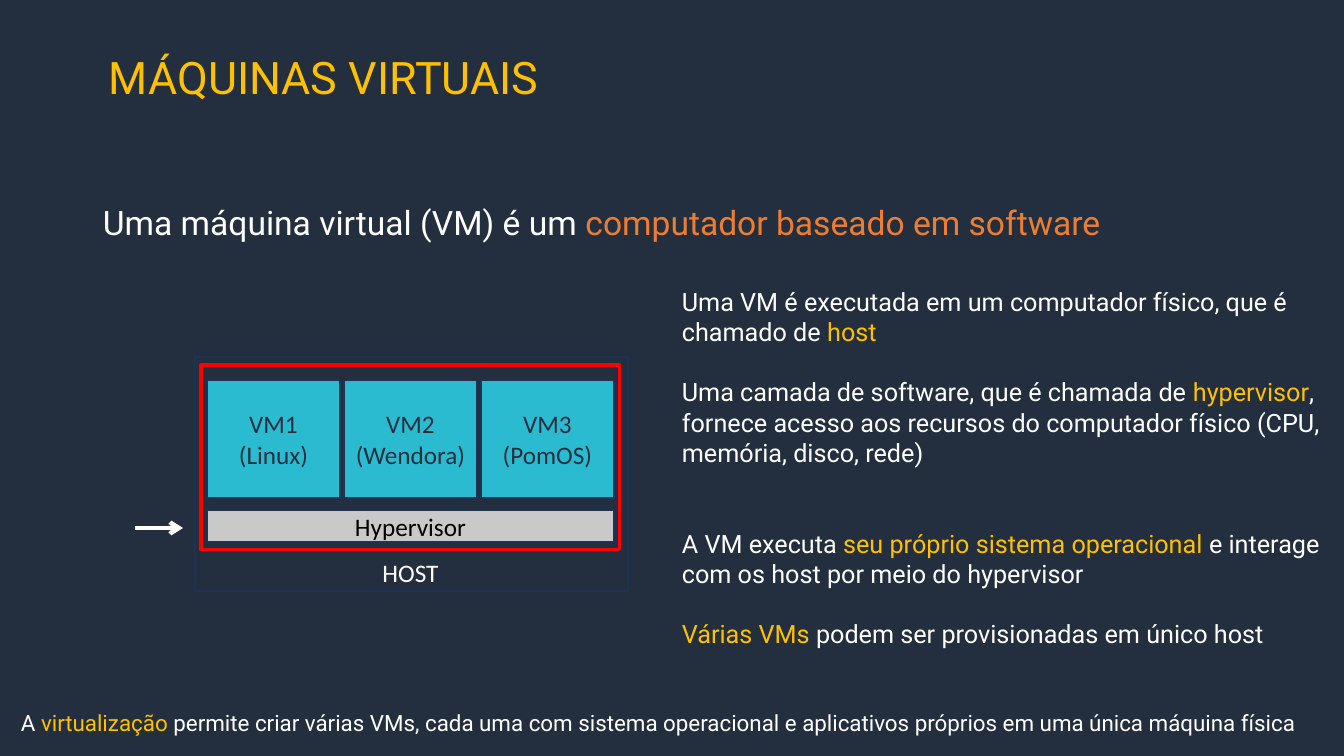
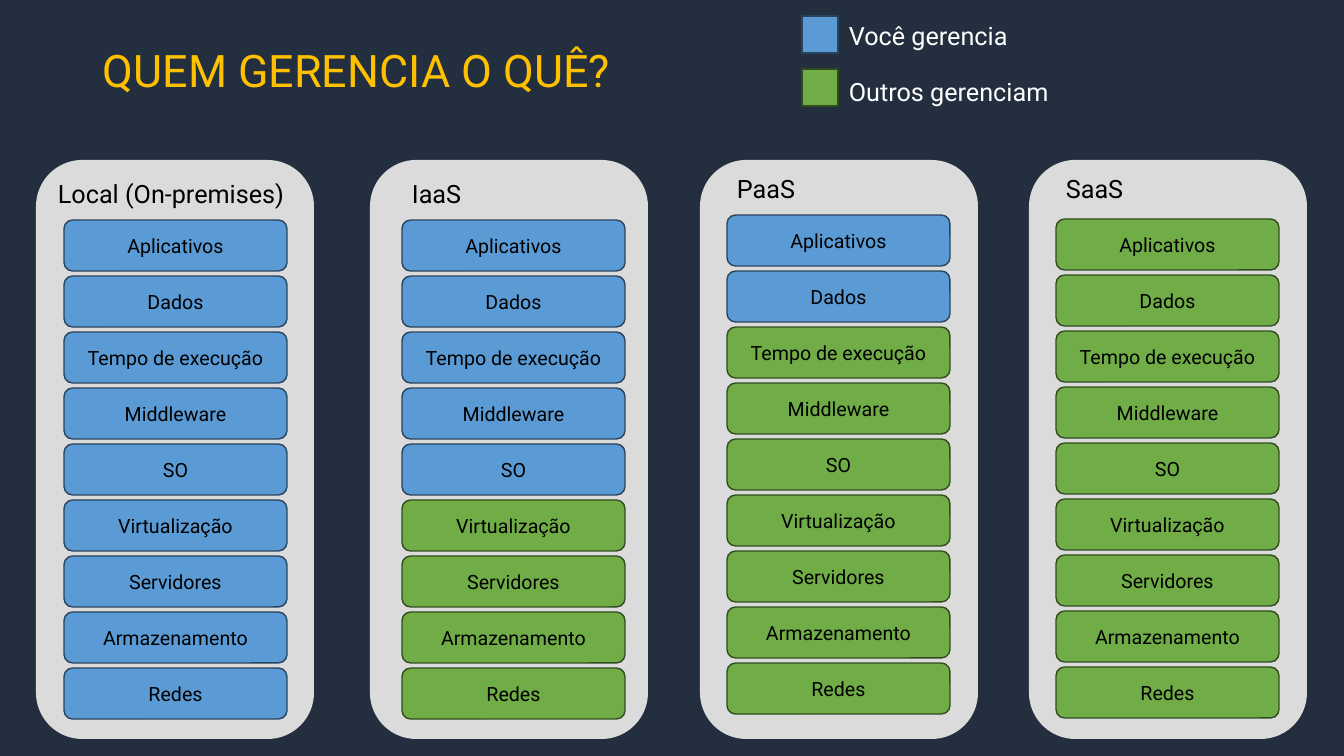
from lxml import etree
from pptx import Presentation
from pptx.dml.color import RGBColor
from pptx.enum.shapes import MSO_CONNECTOR, MSO_SHAPE as SHAPE
from pptx.enum.text import MSO_ANCHOR as ANCHOR, PP_ALIGN as ALIGN
from pptx.oxml.ns import qn
from pptx.util import Emu, Pt

SLIDE_W, SLIDE_H = 1344, 756
EMU_PER_PX = 12192000 / SLIDE_W

NAVY = RGBColor(0x23, 0x2F, 0x3E)
WHITE = RGBColor(0xFF, 0xFF, 0xFF)
BLACK = RGBColor(0x00, 0x00, 0x00)
GOLD = RGBColor(0xFF, 0xC0, 0x00)
ORANGE = RGBColor(0xED, 0x7D, 0x31)
CYAN = RGBColor(0x2B, 0xBB, 0xD1)
SILVER = RGBColor(0xC9, 0xC9, 0xC9)
PANEL = RGBColor(0xDB, 0xDB, 0xDB)
EDGE = RGBColor(0x1E, 0x32, 0x56)
RED = RGBColor(0xFF, 0x00, 0x00)
YOURS = RGBColor(0x5B, 0x9B, 0xD5), RGBColor(0x28, 0x44, 0x5D)
OTHERS = RGBColor(0x70, 0xAD, 0x47), RGBColor(0x31, 0x4C, 0x1F)

FACTS = [
    ["Uma VM é executada em um computador físico, que é chamado de ", ("host", GOLD)],
    ["Uma camada de software, que é chamada de ", ("hypervisor", GOLD),
     ", fornece acesso aos recursos do computador físico (CPU, memória, disco, rede)"],
    ["A VM executa ", ("seu próprio sistema operacional ", GOLD),
     "e interage com os host por meio do hypervisor"],
    [("Várias VMs ", GOLD), "podem ser provisionadas em único host"],
]
SUMMARY = ["A ", ("virtualização ", GOLD),
           "permite criar várias VMs, cada uma com sistema operacional e "
           "aplicativos próprios em uma única máquina física"]
SYSTEMS = ["Linux", "Wendora", "PomOS"]
LAYERS = ["Aplicativos", "Dados", "Tempo de execução", "Middleware", "SO",
          "Virtualização", "Servidores", "Armazenamento", "Redes"]


def px(n):
    return Emu(round(n * EMU_PER_PX))


def write(sp, paragraphs, size=18, font="Roboto", color=WHITE, align=ALIGN.LEFT,
          anchor=ANCHOR.TOP, spacing=None, gaps=(), wrap=True, side_inset=None):
    tf = sp.text_frame
    tf.word_wrap = wrap
    tf.vertical_anchor = anchor
    if side_inset is not None:
        tf.margin_left = tf.margin_right = px(side_inset)
    for i, parts in enumerate(paragraphs):
        p = tf.paragraphs[0] if i == 0 else tf.add_paragraph()
        p.alignment = align
        if spacing:
            p.line_spacing = spacing
        if i and gaps:
            p.space_before = Pt(gaps[i - 1])
        for part in parts:
            text, tint = (part, color) if isinstance(part, str) else part
            r = p.add_run()
            r.text = text
            r.font.size = Pt(size)
            r.font.name = font
            r.font.color.rgb = tint
    return sp


def add_text(shapes, x, y, w, h, paragraphs, **fmt):
    return write(shapes.add_textbox(px(x), px(y), px(w), px(h)), paragraphs, **fmt)


def add_box(shapes, kind, x, y, w, h, fill=None, line=None, width=1):
    sp = shapes.add_shape(kind, px(x), px(y), px(w), px(h))
    sp.shadow.inherit = False
    if fill is None:
        sp.fill.background()
    else:
        sp.fill.solid()
        sp.fill.fore_color.rgb = fill
    if line is None:
        sp.line.fill.background()
    else:
        sp.line.color.rgb = line
        sp.line.width = Pt(width)
    return sp


def add_arrow(shapes, x1, x2, y):
    c = shapes.add_connector(MSO_CONNECTOR.STRAIGHT, px(x1), px(y), px(x2), px(y))
    c.line.color.rgb = WHITE
    c.line.width = Pt(3)
    etree.SubElement(c.line._get_or_add_ln(), qn("a:tailEnd"), type="arrow")
    etree.SubElement(c._element.spPr, qn("a:effectLst"))


def add_slide(prs, title, x, y, w):
    s = prs.slides.add_slide(prs.slide_layouts[6])
    s.background.fill.solid()
    s.background.fill.fore_color.rgb = NAVY
    add_text(s.shapes, x, y, w, 146, [[title]], size=32, color=GOLD,
             anchor=ANCHOR.MIDDLE, spacing=0.9)
    return s


def host_diagram(s, x, y, w, h):
    shapes = s.shapes.add_group_shape().shapes
    label = dict(font="Calibri", align=ALIGN.CENTER, anchor=ANCHOR.MIDDLE)
    add_box(shapes, SHAPE.RECTANGLE, x, y, w, h, line=EDGE)
    inner_x, inner_w, gap = x + 12, w - 26, 4
    vm_w = (inner_w - gap * (len(SYSTEMS) - 1)) / len(SYSTEMS)
    for i, system in enumerate(SYSTEMS):
        vm = add_box(shapes, SHAPE.RECTANGLE, inner_x + i * (vm_w + gap), y + 23,
                     vm_w, 118, fill=CYAN, line=EDGE)
        write(vm, [[f"VM{i + 1}"], [f"({system})"]], color=NAVY, side_inset=4, **label)
    add_box(shapes, SHAPE.RECTANGLE, x + 6, y + 8, w - 14, 185, line=RED, width=2.25)
    hypervisor = add_box(shapes, SHAPE.RECTANGLE, inner_x, y + 153, inner_w, 32,
                         fill=SILVER, line=EDGE)
    write(hypervisor, [["Hypervisor"]], color=BLACK, **label)
    add_text(shapes, x + 177, y + 195, 77, 40, [["HOST"]], wrap=False, **label)


def service_column(s, x, y, w, h, name, yours, inset, name_x, name_y, rows_y):
    add_box(s.shapes, SHAPE.ROUNDED_RECTANGLE, x, y, w, h, fill=PANEL)
    for i, layer in enumerate(LAYERS):
        fill, line = YOURS if i < yours else OTHERS
        row = add_box(s.shapes, SHAPE.FLOWCHART_ALTERNATE_PROCESS, x + inset,
                      y + rows_y + i * 56, 223, 51, fill=fill, line=line)
        write(row, [[layer]], size=14, color=BLACK, align=ALIGN.CENTER,
              anchor=ANCHOR.MIDDLE)
    add_text(s.shapes, x + name_x, y + name_y, w - name_x, 40, [[name]], color=BLACK)


def legend(s, x, y):
    entries = [("Você gerencia", YOURS, -1), ("Outros gerenciam", OTHERS, 2)]
    for i, (text, (fill, line), shift) in enumerate(entries):
        top = y + i * 53
        add_box(s.shapes, SHAPE.RECTANGLE, x, top, 36, 37, fill=fill, line=line)
        add_text(s.shapes, x + 37, top + shift, 300, 40, [[text]])


def virtual_machines(prs):
    s = add_slide(prs, "MÁQUINAS VIRTUAIS", 99, 7, 491)
    add_text(s.shapes, 93, 202, 1159, 52,
             [["Uma máquina virtual (VM) é um ",
               ("computador baseado em software", ORANGE)]], size=24, spacing=0.9)
    add_text(s.shapes, 672, 281, 663, 377, FACTS, gaps=(21.6, 43.2, 21.6))
    host_diagram(s, 195, 357, 433, 234)
    add_text(s.shapes, 11, 685, 1333, 68, [SUMMARY], size=16, spacing=1.7)
    add_arrow(s.shapes, 135, 183, 528)


def who_manages(prs):
    s = add_slide(prs, "QUEM GERENCIA O QUÊ?", 93, 0, 1159)
    columns = [
        (36, "Local (On-premises)", 9, 28, 12, 13, 60),
        (370, "IaaS", 5, 32, 32, 13, 60),
        (700, "PaaS", 2, 27, 27, 8, 55),
        (1029, "SaaS", 0, 27, 27, 8, 59),
    ]
    for x, *details in columns:
        service_column(s, x, 160, 278, 579, *details)
    legend(s, 802, 16)


def main():
    prs = Presentation()
    prs.slide_width, prs.slide_height = px(SLIDE_W), px(SLIDE_H)
    virtual_machines(prs)
    who_manages(prs)
    prs.save("out.pptx")


if __name__ == "__main__":
    main()
